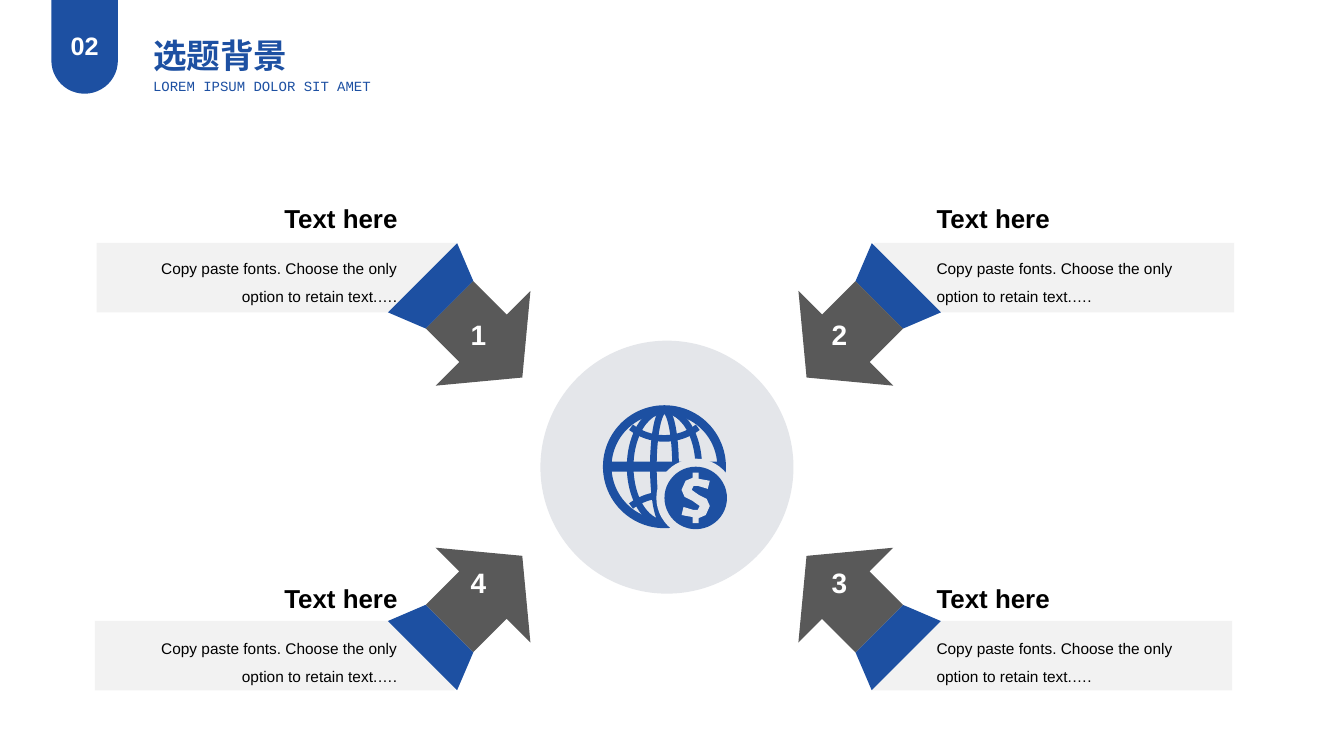
from dataclasses import dataclass
from math import cos, pi, sin

from pptx import Presentation
from pptx.dml.color import RGBColor
from pptx.enum.shapes import MSO_SHAPE as Preset
from pptx.enum.text import MSO_ANCHOR as Anchor, MSO_AUTO_SIZE as AutoSize, PP_ALIGN as Align
from pptx.shapes.autoshape import Shape
from pptx.slide import Slide
from pptx.util import Inches, Pt

Box = tuple[float, float, float, float]
Point = tuple[float, float]


@dataclass(frozen=True)
class Theme:
    blue: str = "1D50A2"
    gray: str = "595959"
    pale: str = "F2F2F2"
    disc: str = "E4E6EA"
    black: str = "000000"
    white: str = "FFFFFF"
    sans: str = "Arial"
    mono: str = "Courier New"
    title: float = 24
    number: float = 20
    heading: float = 18.5
    badge: float = 18
    body: float = 11
    subtitle: float = 10
    globe_line: float = 4.75


@dataclass(frozen=True)
class Column:
    text_left: float
    number_left: float
    bar_left: float
    align: Align
    mirrored: bool


@dataclass(frozen=True)
class Row:
    heading_top: float
    number_top: float
    bar_top: float
    bar_shift: float
    mirrored: bool


@dataclass(frozen=True)
class Corner:
    number: str
    column: Column
    row: Row
    direction: int


THEME = Theme()
LEFT = Column(1.09, 4.5, 0.96, Align.RIGHT, False)
RIGHT = Column(9.19, 8.08, 8.67, Align.LEFT, True)
UPPER = Row(2.02, 3.1, 2.41, 0, False)
LOWER = Row(5.79, 5.56, 6.16, -0.02, True)
CORNERS = [
    Corner("1", LEFT, UPPER, 45),
    Corner("4", LEFT, LOWER, 315),
    Corner("2", RIGHT, UPPER, 135),
    Corner("3", RIGHT, LOWER, 225),
]
CENTER_X, CENTER_Y = 6.59, 4.63
TAIL_BOX: Box = (3.84, 2.7, 0.97, 0.38)
ARROW_BOX: Box = (4.31, 2.72, 1.02, 1.33)
COIN_X, COIN_Y = 6.9, 4.94
HALF_DOLLAR: list[Point] = [
    (0.03, -0.25), (-0.03, -0.25), (-0.03, -0.2), (-0.1, -0.17), (-0.14, -0.08), (-0.11, -0.01),
    (-0.03, 0.03), (0.04, 0.08), (0.02, 0.12), (-0.02, 0.12), (-0.12, 0.09), (-0.14, 0.17), (-0.03, 0.19),
]


def around(x: float, y: float, radius_x: float, radius_y: float) -> Box:
    return x - radius_x, y - radius_y, 2 * radius_x, 2 * radius_y


def paint(shape: Shape, color: str) -> Shape:
    shape.shadow.inherit = False
    shape.fill.solid()
    shape.fill.fore_color.rgb = RGBColor.from_string(color)
    shape.line.fill.background()
    return shape


def add_outline(slide: Slide, points: list[Point], color: str) -> Shape:
    first, *others = [(Inches(x), Inches(y)) for x, y in points]
    builder = slide.shapes.build_freeform(*first, scale=1.0)
    builder.add_line_segments(others)
    return paint(builder.convert_to_shape(), color)


def add_preset(slide: Slide, preset: Preset, box: Box, color: str,
               rotation: float = 0, adjustments: tuple[float, ...] = ()) -> Shape:
    shape = paint(slide.shapes.add_shape(preset, *map(Inches, box)), color)
    shape.rotation = rotation
    for index, value in enumerate(adjustments):
        shape.adjustments[index] = value
    return shape


def add_stroke(slide: Slide, preset: Preset, box: Box, adjustments: tuple[float, ...] = ()) -> None:
    shape = add_preset(slide, preset, box, THEME.blue, adjustments=adjustments)
    shape.fill.background()
    shape.line.color.rgb = RGBColor.from_string(THEME.blue)
    shape.line.width = Pt(THEME.globe_line)


def add_globe(slide: Slide) -> None:
    add_preset(slide, Preset.DONUT, around(CENTER_X, CENTER_Y, 0.61, 0.61), THEME.blue, adjustments=(0.07,))
    add_preset(slide, Preset.RECTANGLE, around(CENTER_X, CENTER_Y, 0.58, 0.05), THEME.blue)
    for radius in (0.11, 0.34):
        add_stroke(slide, Preset.OVAL, around(CENTER_X, CENTER_Y, radius, 0.56))
    for side, middle in ((-1, 90), (1, 270)):
        angles = tuple((middle + turn) * 0.6 for turn in (-37, 37))
        add_stroke(slide, Preset.ARC, around(CENTER_X, CENTER_Y + side * 0.83, 0.55, 0.55), angles)
    for radius, color in ((0.39, THEME.disc), (0.31, THEME.blue)):
        add_preset(slide, Preset.OVAL, around(COIN_X, COIN_Y, radius, radius), color)
    dollar = [(COIN_X + turn * x, COIN_Y + turn * y) for turn in (1, -1) for x, y in HALF_DOLLAR]
    add_outline(slide, dollar, THEME.disc)


def write(shape: Shape, text: str, size: float, color: str, bold: bool = True,
          font: str = THEME.sans, align: Align = Align.CENTER, spacing: float = 1.0) -> None:
    paragraph = shape.text_frame.paragraphs[0]
    run = paragraph.add_run()
    run.text = text
    for name, value in {"alignment": align, "line_spacing": spacing}.items():
        setattr(paragraph, name, value)
    for name, value in {"name": font, "size": Pt(size), "bold": bold}.items():
        setattr(run.font, name, value)
    run.font.color.rgb = RGBColor.from_string(color)


def add_text_box(slide: Slide, box: Box, wrap: bool = True) -> Shape:
    shape = slide.shapes.add_textbox(*map(Inches, box))
    frame_format = {"word_wrap": wrap, "auto_size": AutoSize.NONE if wrap else AutoSize.SHAPE_TO_FIT_TEXT}
    for name, value in frame_format.items():
        setattr(shape.text_frame, name, value)
    return shape


def mirror(box: Box, corner: Corner) -> Box:
    left, top, width, height = box
    if corner.column.mirrored:
        left = 2 * CENTER_X - left - width
    if corner.row.mirrored:
        top = 2 * CENTER_Y - top - height
    return left, top, width, height


def add_corner(slide: Slide, corner: Corner) -> None:
    column, row = corner.column, corner.row
    add_preset(slide, Preset.RECTANGLE, (column.bar_left + row.bar_shift, row.bar_top, 3.57, 0.69), THEME.pale)
    add_preset(slide, Preset.TRAPEZOID, mirror(TAIL_BOX, corner), THEME.blue, (corner.direction + 90) % 360, (0.4,))
    add_preset(slide, Preset.RIGHT_ARROW, mirror(ARROW_BOX, corner), THEME.gray, corner.direction, (0.5, 0.54))
    number = add_text_box(slide, (column.number_left, row.number_top, 0.49, 0.6))
    write(number, corner.number, THEME.number, THEME.white)
    heading = add_text_box(slide, (column.text_left, row.heading_top, 2.95, 0.37))
    write(heading, "Text here", THEME.heading, THEME.black, align=column.align, spacing=0.8)
    body = add_text_box(slide, (column.text_left, row.heading_top + 0.41, 2.95, 0.67))
    write(body, "Copy paste fonts. Choose the only option to retain text.….", THEME.body,
          THEME.black, bold=False, align=column.align, spacing=1.5)


def add_header(slide: Slide) -> None:
    angles = [pi * step / 24 for step in range(25)]
    rounded_end = [(0.84 + 0.33 * cos(angle), 0.6 + 0.33 * sin(angle)) for angle in angles]
    badge = add_outline(slide, [(0.51, -0.02), (1.17, -0.02), *rounded_end], THEME.blue)
    badge.text_frame.vertical_anchor = Anchor.MIDDLE
    write(badge, "02", THEME.badge, THEME.white)
    title = add_text_box(slide, (1.41, 0.3, 1.55, 0.5), wrap=False)
    write(title, "选题背景", THEME.title, THEME.blue)
    subtitle = add_text_box(slide, (1.42, 0.72, 2.4, 0.27), wrap=False)
    write(subtitle, "LOREM IPSUM DOLOR SIT AMET", THEME.subtitle, THEME.blue,
          bold=False, font=THEME.mono, align=Align.LEFT)


def main() -> None:
    presentation = Presentation()
    presentation.slide_width, presentation.slide_height = Inches(13.33), Inches(7.5)
    slide = presentation.slides.add_slide(presentation.slide_layouts[6])
    add_preset(slide, Preset.OVAL, (5.36, 3.38, 2.51, 2.51), THEME.disc)
    add_globe(slide)
    for corner in CORNERS:
        add_corner(slide, corner)
    add_header(slide)
    presentation.save("out.pptx")


if __name__ == "__main__":
    main()
